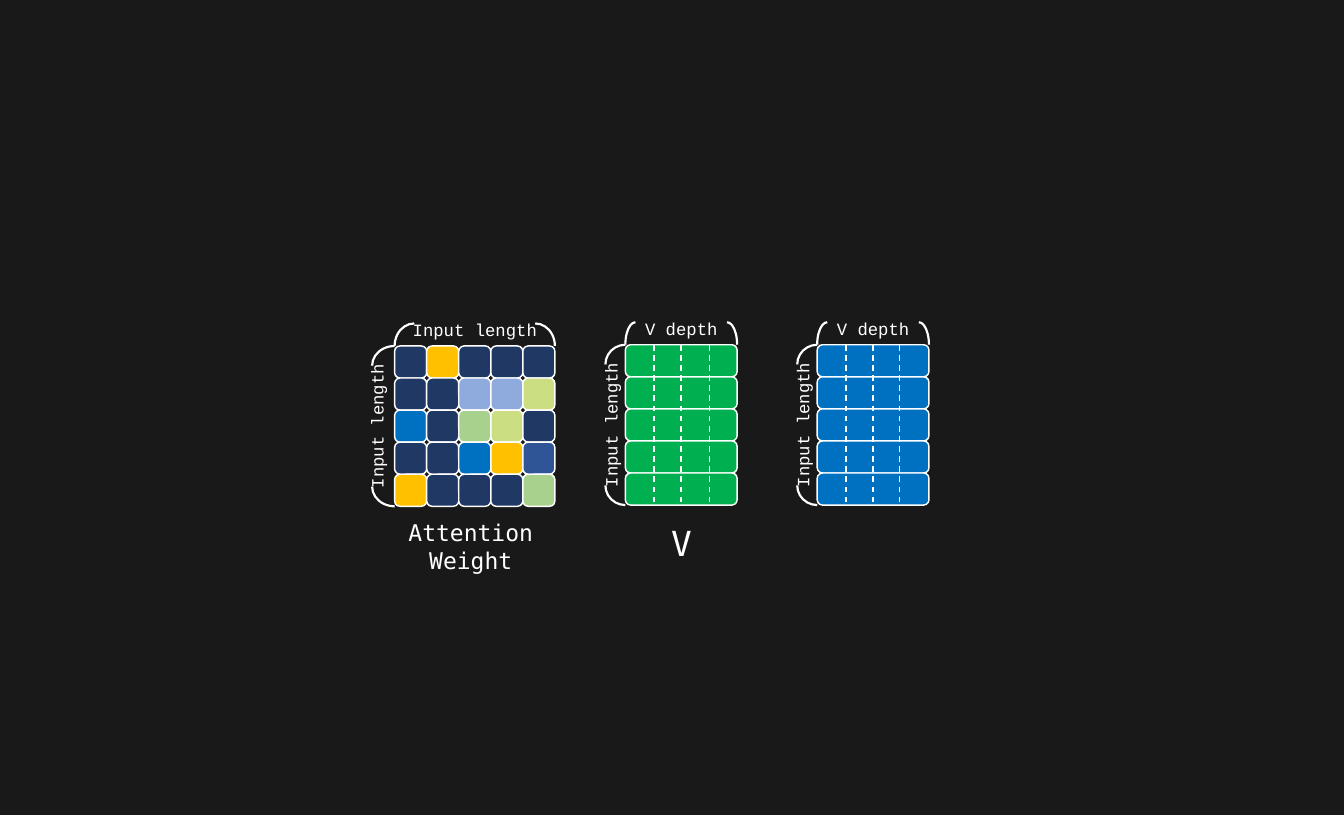
from dataclasses import dataclass

from pptx import Presentation
from pptx.dml.color import RGBColor
from pptx.enum.dml import MSO_LINE
from pptx.enum.shapes import MSO_CONNECTOR, MSO_SHAPE as SHAPE
from pptx.enum.text import MSO_ANCHOR, PP_ALIGN
from pptx.oxml.ns import qn
from pptx.util import Cm, Pt

BACKGROUND = RGBColor(0x19, 0x19, 0x19)
WHITE = RGBColor(0xFF, 0xFF, 0xFF)
GREEN = RGBColor(0x00, 0xB0, 0x50)
BLUE = RGBColor(0x00, 0x70, 0xC0)
NAVY = RGBColor(0x20, 0x38, 0x64)
INDIGO = RGBColor(0x2F, 0x55, 0x97)
GOLD = RGBColor(0xFF, 0xC0, 0x00)
SKY = RGBColor(0x8F, 0xAA, 0xDC)
SAGE = RGBColor(0xA9, 0xD1, 0x8E)
LIME = RGBColor(0xCC, 0xDE, 0x82)

LABEL_FONT = "Courier New"
CAPTION_FONT = "DejaVu Sans Mono"

# Shared geometry, in centimetres
SIDE = 7.87
ROWS = 5
CELL = SIDE / ROWS
LABEL_LENGTH = 7.04
SIDE_LABEL_HEIGHT = 1.4
ARC_WIDTH = 1.93
ARC_HEIGHT = 2.21


@dataclass
class Matrix:
    left: float
    top: float
    width: float
    colors: list[list[RGBColor]]  # one list per row
    top_label: str
    top_label_width: float
    side_label_offset: float
    top_arc_width: float
    side_arc_height: float
    dividers: tuple[float, ...] = ()


@dataclass
class Caption:
    text: str
    left: float
    top: float
    width: float
    size: int


def vector_matrix(left: float, color: RGBColor, dividers: tuple[float, ...]) -> Matrix:
    return Matrix(left, 16.92, 5.49, [[color]] * ROWS, "V depth", 5.49,
                  0.72, 0.99, 1.96, dividers)


MATRICES = [
    vector_matrix(30.71, GREEN, (1.4, 2.74, 4.14)),
    vector_matrix(40.13, BLUE, (1.42, 2.74, 4.04)),
    Matrix(19.38, 16.98, SIDE, [
        [NAVY, GOLD, NAVY, NAVY, NAVY],
        [NAVY, NAVY, SKY, SKY, LIME],
        [BLUE, NAVY, SAGE, LIME, NAVY],
        [NAVY, NAVY, BLUE, GOLD, INDIGO],
        [GOLD, NAVY, NAVY, NAVY, SAGE],
    ], "Input length", LABEL_LENGTH, 0.88, ARC_WIDTH, ARC_HEIGHT),
]
CAPTIONS = [
    Caption("V", 32.46, 25.63, 2.01, 48),
    Caption("Attention\nWeight", 19.41, 25.81, 7.42, 32),
]


def add_box(shapes, kind, left: float, top: float, width: float, height: float,
            fill: RGBColor | None = None, line_width: float = 0):
    sp = shapes.add_shape(kind, Cm(left), Cm(top), Cm(width), Cm(height))
    sp.shadow.inherit = False
    if fill is None:
        sp.fill.background()
    else:
        sp.fill.solid()
        sp.fill.fore_color.rgb = fill
    if line_width:
        sp.line.color.rgb = WHITE
        sp.line.width = Pt(line_width)
    else:
        sp.line.fill.background()
    return sp


def add_text(shapes, text: str, left: float, top: float, width: float, height: float, *,
             size: int = 24, font: str = LABEL_FONT, rotation: float = 0) -> None:
    sp = add_box(shapes, SHAPE.ROUNDED_RECTANGLE, left, top, width, height)
    sp.rotation = rotation
    tf = sp.text_frame
    tf.word_wrap = True
    tf.vertical_anchor = MSO_ANCHOR.MIDDLE
    for i, line in enumerate(text.split("\n")):
        p = tf.add_paragraph() if i else tf.paragraphs[0]
        p.alignment = PP_ALIGN.CENTER
        r = p.add_run()
        r.text = line
        r.font.name = font
        r.font.size = Pt(size)
        r.font.color.rgb = WHITE


def add_arc(shapes, center_x: float, center_y: float, width: float, height: float,
            flip: bool, rotation: float = 0) -> None:
    sp = add_box(shapes, SHAPE.ARC, center_x - width / 2, center_y - height / 2,
                 width, height, line_width=3)
    sp.rotation = rotation
    if flip:
        sp._element.spPr.find(qn("a:xfrm")).set("flipH", "1")


def add_divider(shapes, x: float, top: float) -> None:
    line = shapes.add_connector(MSO_CONNECTOR.STRAIGHT, Cm(x), Cm(top), Cm(x), Cm(top + SIDE))
    line.line.color.rgb = WHITE
    line.line.width = Pt(2)
    line.line.dash_style = MSO_LINE.DASH
    spPr = line._element.spPr
    spPr.append(spPr.makeelement(qn("a:effectLst"), {}))


def add_matrix(slide, m: Matrix) -> None:
    shapes = slide.shapes.add_group_shape().shapes
    right, bottom = m.left + m.width, m.top + SIDE

    # Cells and column dividers
    for row, colors in enumerate(m.colors):
        cell_width = m.width / len(colors)
        for col, color in enumerate(colors):
            add_box(shapes, SHAPE.ROUNDED_RECTANGLE, m.left + col * cell_width,
                    m.top + row * CELL, cell_width, CELL, color, 2)
    for offset in m.dividers:
        add_divider(shapes, m.left + offset, m.top)

    # Dimension labels
    add_text(shapes, m.top_label, m.left + (m.width - m.top_label_width) / 2,
             m.top - CELL, m.top_label_width, CELL)
    add_text(shapes, "Input length", m.left - m.side_label_offset - LABEL_LENGTH / 2,
             m.top + (SIDE - SIDE_LABEL_HEIGHT) / 2, LABEL_LENGTH, SIDE_LABEL_HEIGHT,
             rotation=270)

    # Bracket ends, centred on the top and left edges
    inset = m.top_arc_width / 2
    for x, flip in ((m.left + inset, True), (right - inset, False)):
        add_arc(shapes, x, m.top, m.top_arc_width, ARC_HEIGHT, flip)
    inset = ARC_WIDTH / 2
    for y, flip in ((bottom - inset, True), (m.top + inset, False)):
        add_arc(shapes, m.left, y, ARC_WIDTH, m.side_arc_height, flip, 270)


def main() -> None:
    prs = Presentation()
    prs.slide_width, prs.slide_height = Cm(66), Cm(40)
    slide = prs.slides.add_slide(prs.slide_layouts[6])
    slide.background.fill.solid()
    slide.background.fill.fore_color.rgb = BACKGROUND

    for matrix in MATRICES:
        add_matrix(slide, matrix)
    for c in CAPTIONS:
        add_text(slide.shapes, c.text, c.left, c.top, c.width, 2.01,
                 size=c.size, font=CAPTION_FONT)
    prs.save("out.pptx")


if __name__ == "__main__":
    main()
